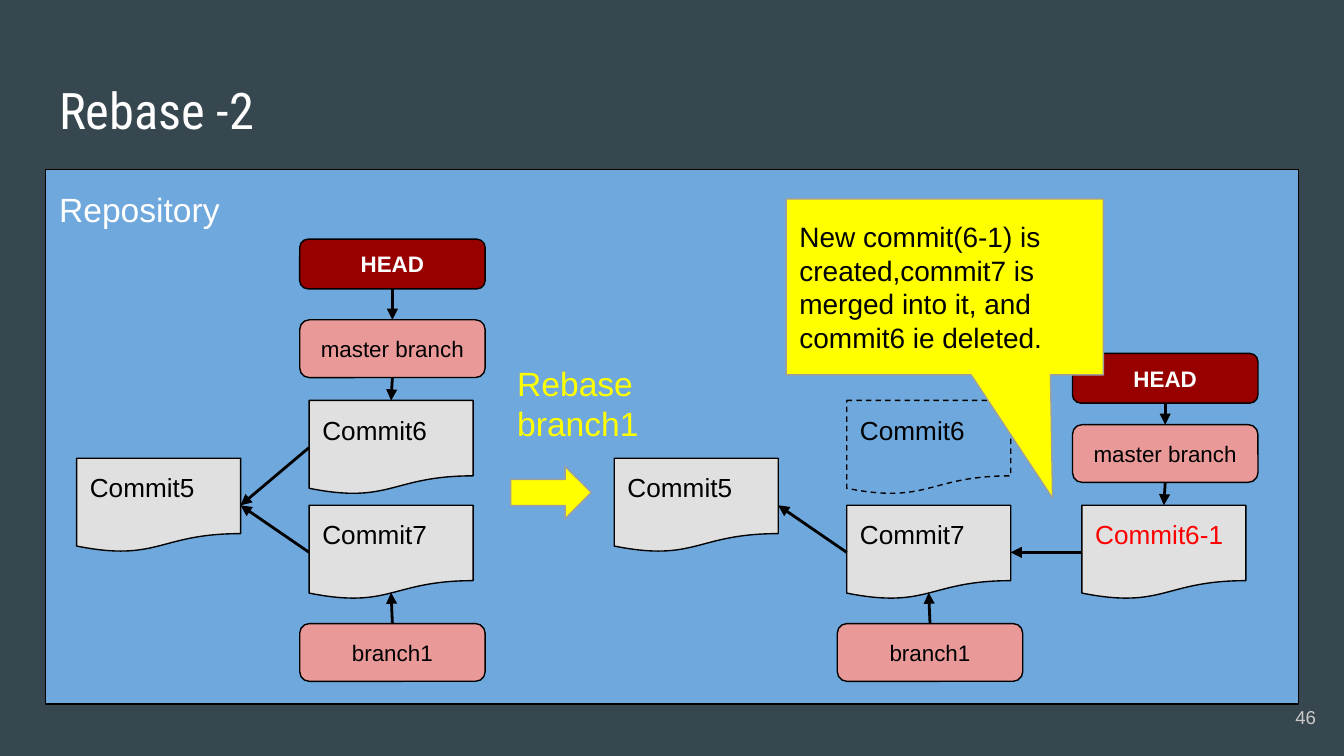
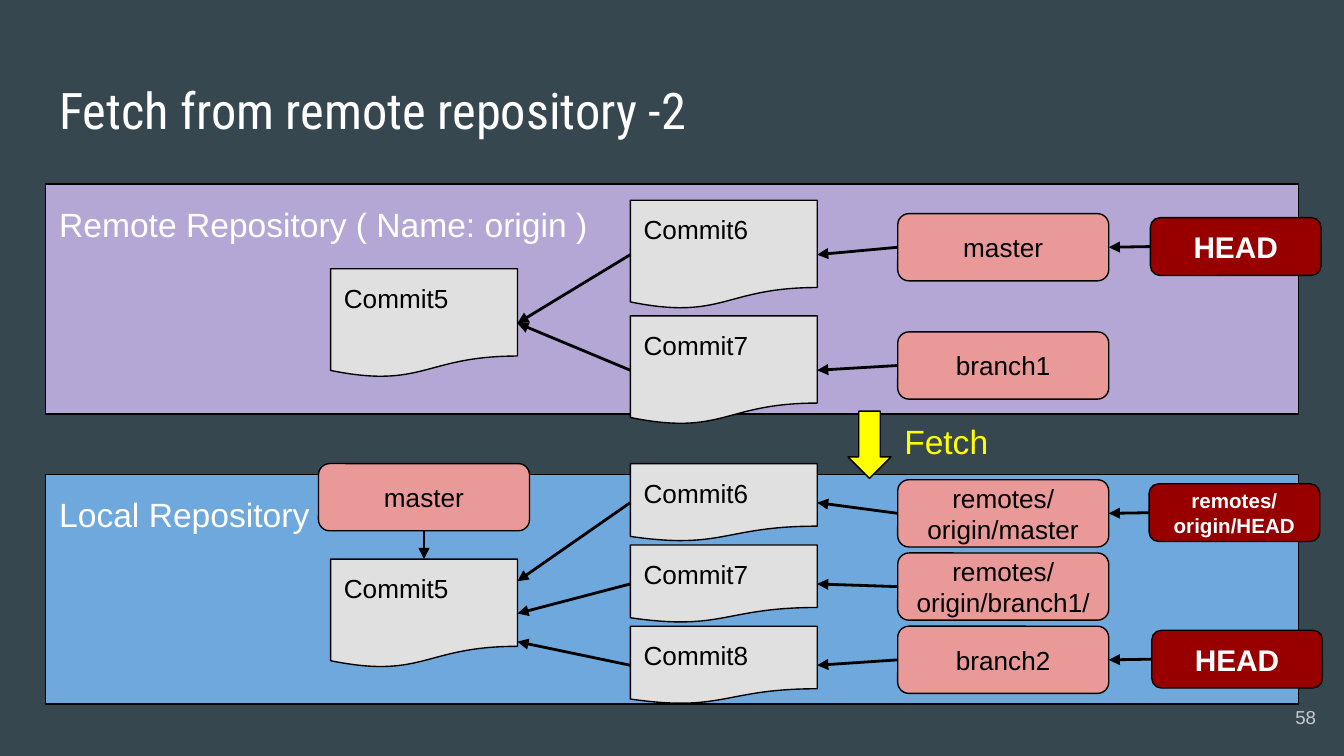
import lxml.etree
import pptx
import pptx.dml.color
import pptx.enum.dml
import pptx.enum.shapes
import pptx.enum.text
import pptx.oxml.ns
import pptx.util

RGBColor = pptx.dml.color.RGBColor
SLATE = RGBColor(0x37, 0x47, 0x4F)
WHITE = RGBColor(0xFF, 0xFF, 0xFF)
BLACK = RGBColor(0x00, 0x00, 0x00)
RED = RGBColor(0xFF, 0x00, 0x00)
YELLOW = RGBColor(0xFF, 0xFF, 0x00)
BLUE = RGBColor(0x6F, 0xA8, 0xDC)
PURPLE = RGBColor(0xB4, 0xA7, 0xD6)
PINK = RGBColor(0xEA, 0x99, 0x99)
MAROON = RGBColor(0x98, 0x00, 0x00)
PAPER = RGBColor(0xE0, 0xE0, 0xE0)
GREY = RGBColor(0x9E, 0x9E, 0x9E)
PALE_GREY = RGBColor(0xCA, 0xCA, 0xCA)

COLUMNS, ROWS = 100, 56.25
BODY_FONT, TITLE_FONT = "Arial", "Roboto Condensed"
TITLE_AND_BODY, TITLE_AND_TWO_BODIES = 1, 3
SIDES = ("top", "left", "bottom", "right")
PRESET = pptx.enum.shapes.MSO_SHAPE
ALIGN = pptx.enum.text.PP_ALIGN
ANCHOR = pptx.enum.text.MSO_ANCHOR


def write_text(shape, text, size=14, color=BLACK, font=BODY_FONT, bold=False,
               align=ALIGN.LEFT, anchor=ANCHOR.TOP, line_spacing=1.0, space_after=0):
    frame = shape.text_frame
    frame.word_wrap = True
    frame.auto_size = pptx.enum.text.MSO_AUTO_SIZE.NONE
    frame.vertical_anchor = anchor
    frame.margin_left = frame.margin_right = pptx.util.Inches(0.1)
    frame.margin_top = frame.margin_bottom = pptx.util.Inches(0.1)
    frame.text = text
    for paragraph in frame.paragraphs:
        paragraph.alignment = align
        paragraph.line_spacing = line_spacing
        paragraph.space_before = pptx.util.Pt(0)
        paragraph.space_after = pptx.util.Pt(space_after)
        for run in paragraph.runs:
            run.font.size = pptx.util.Pt(size)
            run.font.name = font
            run.font.bold = bold
            run.font.color.rgb = color


class Deck:
    def __init__(self):
        self.presentation = pptx.Presentation()
        self.presentation.slide_width = pptx.util.Inches(10)
        self.presentation.slide_height = pptx.util.Inches(5.625)
        background = self.presentation.slide_master.background
        background.fill.solid()
        background.fill.fore_color.rgb = SLATE
        self.slide = None

    def x(self, columns):
        return pptx.util.Emu(round(self.presentation.slide_width * columns / COLUMNS))

    def y(self, rows):
        return pptx.util.Emu(round(self.presentation.slide_height * rows / ROWS))

    def box(self, left, top, width, height):
        return self.x(left), self.y(top), self.x(width), self.y(height)

    def place(self, shape, left, top, width, height):
        shape.left, shape.top, shape.width, shape.height = self.box(left, top, width, height)

    def paint(self, shape, fill, line=BLACK):
        if fill is None:
            shape.fill.background()
        else:
            shape.fill.solid()
            shape.fill.fore_color.rgb = fill
        shape.line.color.rgb = line
        shape.line.width = pptx.util.Pt(0.75)

    def new_slide(self, title, number, panels):
        layout = TITLE_AND_BODY if len(panels) == 1 else TITLE_AND_TWO_BODIES
        self.slide = self.presentation.slides.add_slide(
            self.presentation.slide_layouts[layout])
        heading, *bodies = self.slide.placeholders
        self.place(heading, 3.4, 4.9, 93.2, 6.3)
        write_text(heading, title, size=27, color=WHITE, font=TITLE_FONT)
        for body, panel in zip(bodies, panels):
            self.panel(body, *panel)
        self.label(number, 92.9, 51.2, 6, 4.3, size=10, color=PALE_GREY,
                   align=ALIGN.RIGHT, anchor=ANCHOR.MIDDLE)

    def panel(self, body, text, top, height, fill):
        self.place(body, 3.4, top, 93.2, height)
        self.paint(body, fill)
        write_text(body, text, size=18, color=WHITE, line_spacing=1.15, space_after=12)
        for paragraph in body.text_frame.paragraphs:
            properties = paragraph._p.get_or_add_pPr()
            properties.set("marL", "0")
            properties.set("indent", "0")
            lxml.etree.SubElement(properties, pptx.oxml.ns.qn("a:buNone"))

    def label(self, text, left, top, width, height, **style):
        shape = self.slide.shapes.add_textbox(*self.box(left, top, width, height))
        write_text(shape, text, **style)

    def shape(self, preset, left, top, width, height, fill, line=BLACK):
        shape = self.slide.shapes.add_shape(preset, *self.box(left, top, width, height))
        shape.shadow.inherit = False
        self.paint(shape, fill, line)
        return shape

    def commit(self, text, left, top, width=12.2, height=7, fill=PAPER, color=BLACK):
        shape = self.shape(PRESET.FLOWCHART_DOCUMENT, left, top, width, height, fill)
        if fill is None:
            shape.line.dash_style = pptx.enum.dml.MSO_LINE.DASH
        write_text(shape, text, color=color)
        return shape

    def tag(self, text, left, top, width, height, fill, **style):
        shape = self.shape(PRESET.ROUNDED_RECTANGLE, left, top, width, height, fill)
        write_text(shape, text, align=ALIGN.CENTER, anchor=ANCHOR.MIDDLE, **style)
        return shape

    def branch(self, text, left, top, width=13.8, height=4.3, size=12):
        return self.tag(text, left, top, width, height, PINK, size=size)

    def head(self, text, left, top, width=13.8, height=3.7, size=12):
        return self.tag(text, left, top, width, height, MAROON,
                        size=size, color=WHITE, bold=True)

    def callout(self, text, left, top, width, height, tip):
        shape = self.shape(PRESET.ROUNDED_RECTANGULAR_CALLOUT, left, top, width, height,
                           YELLOW, GREY)
        for index, value in enumerate((*tip, 0)):
            shape.adjustments[index] = value
        write_text(shape, text, size=15, anchor=ANCHOR.MIDDLE)

    def side_point(self, shape, side):
        across = {"left": 0, "right": 1}.get(side, 0.5)
        down = {"top": 0, "bottom": 1}.get(side, 0.5)
        return (round(shape.left + across * shape.width),
                round(shape.top + down * shape.height))

    def arrow(self, source, source_side, target, target_side, shift=0):
        start = self.side_point(source, source_side)
        end_x, end_y = self.side_point(target, target_side)
        connector = self.slide.shapes.add_connector(
            pptx.enum.shapes.MSO_CONNECTOR.STRAIGHT, *start, end_x, end_y + self.y(shift))
        connector.begin_connect(source, SIDES.index(source_side))
        if not shift:
            connector.end_connect(target, SIDES.index(target_side))
        connector.line.color.rgb = BLACK
        connector.line.width = pptx.util.Pt(1.5)
        properties = connector._element.spPr
        outline = properties.find(pptx.oxml.ns.qn("a:ln"))
        lxml.etree.SubElement(outline, pptx.oxml.ns.qn("a:tailEnd"), type="triangle")
        lxml.etree.SubElement(properties, pptx.oxml.ns.qn("a:effectLst"))


def build_history(deck, offset, commit6_fill):
    commit5 = deck.commit("Commit5", offset + 5.7, 34.1)
    commit6 = deck.commit("Commit6", offset + 23, 29.8, fill=commit6_fill)
    commit7 = deck.commit("Commit7", offset + 23, 37.6)
    branch1 = deck.branch("branch1", offset + 22.3, 46.4)
    deck.arrow(commit7, "left", commit5, "right")
    deck.arrow(branch1, "top", commit7, "bottom", shift=-0.5)
    return commit5, commit6, commit7


def build_master(deck, left, head_top, branch_top, commit):
    head = deck.head("HEAD", left, head_top)
    branch = deck.branch("master branch", left, branch_top)
    deck.arrow(head, "bottom", branch, "top")
    deck.arrow(branch, "bottom", commit, "top")


def build_rebase(deck):
    deck.new_slide("Rebase -2", "46", [("Repository", 12.6, 39.8, BLUE)])
    commit5, commit6, _ = build_history(deck, 0, PAPER)
    deck.arrow(commit6, "left", commit5, "right")
    build_master(deck, 22.3, 17.8, 23.8, commit6)

    _, _, commit7 = build_history(deck, 40, None)
    rebased = deck.commit("Commit6-1", 80.5, 37.6, color=RED)
    deck.arrow(rebased, "left", commit7, "right")
    build_master(deck, 79.8, 26.3, 31.6, rebased)

    deck.shape(PRESET.RIGHT_ARROW, 38, 34.7, 6, 3.9, YELLOW, GREY)
    deck.callout("New commit(6-1) is created,commit7 is merged into it, "
                 "and commit6 ie deleted.", 58.5, 14.8, 23.6, 13.1, tip=(0.34, 1.2))
    deck.label("Rebase\nbranch1", 37.5, 26, 16.3, 8.1, size=18, color=YELLOW)


def build_row(deck, commit_text, commit_top, commit_height, branch_text, branch_top,
              base, shift=0):
    commit = deck.commit(commit_text, 46.9, commit_top, 13.9, commit_height)
    branch = deck.branch(branch_text, 66.8, branch_top, 15.7, 5, size=14)
    deck.arrow(commit, "left", base, "right", shift)
    deck.arrow(branch, "left", commit, "right")
    return branch


def build_row_head(deck, text, left, branch_top, branch, size=16):
    head = deck.head(text, left, branch_top + 0.3, 12.7, 4.3, size)
    deck.arrow(head, "left", branch, "right")


def build_fetch(deck):
    deck.new_slide("Fetch from remote repository -2", "58", [
        ("Remote Repository ( Name: origin )", 13.7, 17.1, PURPLE),
        ("Local Repository", 35.3, 17.1, BLUE),
    ])
    remote_base = deck.commit("Commit5", 24.6, 20, 13.9, 8.1)
    remote_master = build_row(deck, "Commit6", 14.9, 8.1, "master", 15.9, remote_base)
    build_row(deck, "Commit7", 23.5, 8.1, "branch1", 24.7, remote_base)
    build_row_head(deck, "HEAD", 85.6, 15.9, remote_master)

    local_base = deck.commit("Commit5", 24.6, 41.6, 13.9, 8.1)
    local_master = deck.branch("master", 23.7, 34.5, 15.7, 5, size=14)
    deck.arrow(local_master, "bottom", local_base, "top")
    rows = (("Commit6", "remotes/origin/master", -2.4),
            ("Commit7", "remotes/origin/branch1/", 0),
            ("Commit8", "branch2", 2.1))
    tracked_master, _, branch2 = [
        build_row(deck, commit, 34.5 + 6.05 * index, 5.8,
                  branch, 35.7 + 5.45 * index, local_base, shift)
        for index, (commit, branch, shift) in enumerate(rows)]
    build_row_head(deck, "remotes/\norigin/HEAD", 85.5, 35.7, tracked_master, size=11)
    build_row_head(deck, "HEAD", 85.7, 46.6, branch2)

    deck.shape(PRESET.DOWN_ARROW, 63.1, 30.6, 3.2, 5, YELLOW)
    deck.label("Fetch", 66.3, 30.3, 9.2, 5, size=18, color=YELLOW)


def main():
    deck = Deck()
    build_rebase(deck)
    build_fetch(deck)
    deck.presentation.save("out.pptx")


if __name__ == "__main__":
    main()
